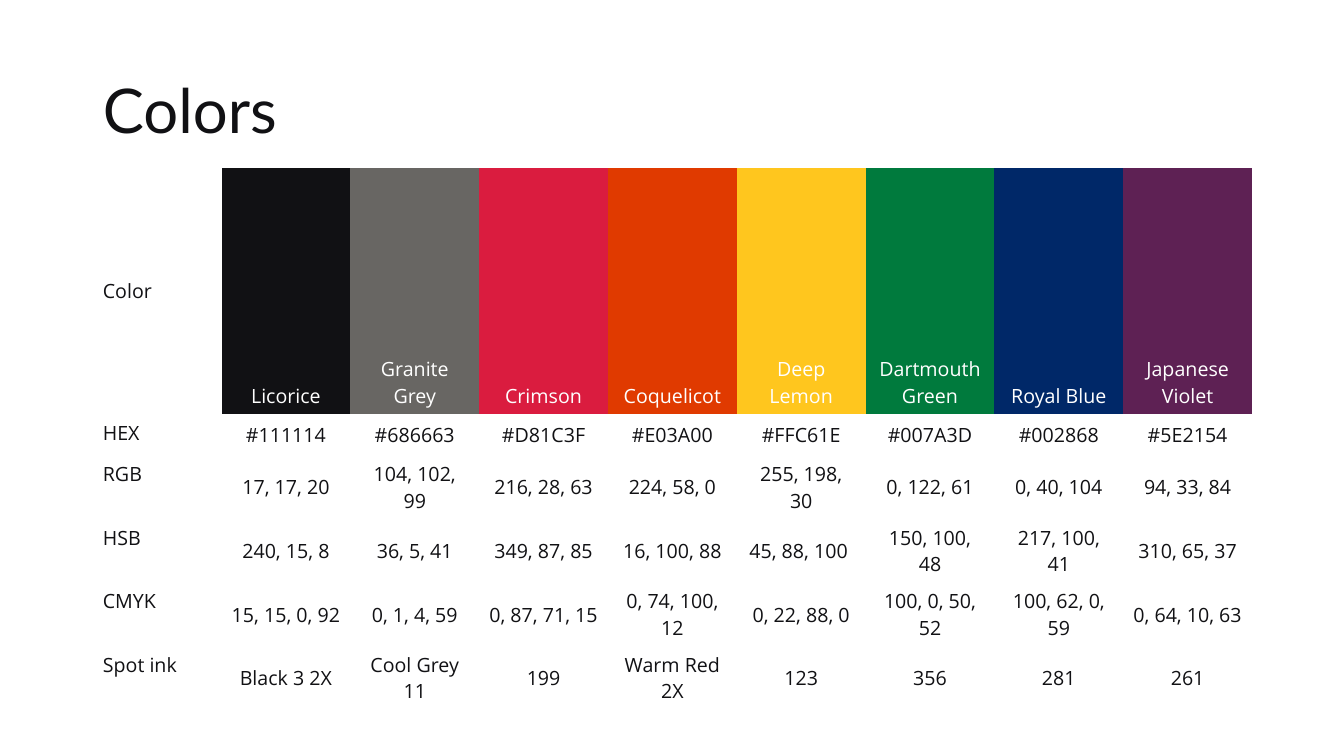
from pptx import Presentation
from pptx.dml.color import RGBColor
from pptx.enum.text import MSO_ANCHOR as Anchor, MSO_AUTO_SIZE as AutoSize, PP_ALIGN as Align
from pptx.oxml.ns import qn
from pptx.util import Pt

PX = 9144
PLAIN_TABLE_STYLE = "{2D5ABB26-0587-4C30-8999-92F81FD0307C}"
COLORS = {
    "ink": "111114",
    "white": "FFFFFF",
    "Licorice": "111114",
    "Granite Grey": "686663",
    "Crimson": "DA1C3F",
    "Coquelicot": "E03A00",
    "Deep Lemon": "FFC61E",
    "Dartmouth Green": "007A3D",
    "Royal Blue": "002868",
    "Japanese Violet": "5E2154",
}
SWATCHES = [name for name in COLORS if name not in ("ink", "white")]
CODES = {
    "HEX": ["#111114", "#686663", "#D81C3F", "#E03A00",
            "#FFC61E", "#007A3D", "#002868", "#5E2154"],
    "RGB": ["17, 17, 20", "104, 102, 99", "216, 28, 63", "224, 58, 0",
            "255, 198, 30", "0, 122, 61", "0, 40, 104", "94, 33, 84"],
    "HSB": ["240, 15, 8", "36, 5, 41", "349, 87, 85", "16, 100, 88",
            "45, 88, 100 ", "150, 100, 48", "217, 100, 41", "310, 65, 37"],
    "CMYK": ["15, 15, 0, 92", "0, 1, 4, 59", "0, 87, 71, 15", "0, 74, 100, 12",
             "0, 22, 88, 0", "100, 0, 50, 52", "100, 62, 0, 59", "0, 64, 10, 63"],
    "Spot ink": ["Black 3 2X", "Cool Grey 11", "199", "Warm Red 2X",
                 "123", "356", "281", "261"],
}


class PaletteSlide:
    """Style and current page of the colour palette slide."""

    title_font, title_size = "Lato", 44
    body_font, body_size = "Open Sans", 14

    def __init__(self, deck):
        self.page = deck.slides.add_slide(deck.slide_layouts[5])

    def span(self, para, text, font, size, color):
        span = para.add_run()
        span.text = text
        span.font.name = font
        span.font.size = Pt(size)
        span.font.color.rgb = RGBColor.from_string(COLORS[color])

    def title(self, text, left, top, width, height):
        box = self.page.shapes.title
        box.left, box.top, box.width, box.height = (
            length * PX for length in (left, top, width, height))
        frame = box.text_frame
        frame.auto_size = AutoSize.NONE
        frame.vertical_anchor = Anchor.MIDDLE
        para = frame.paragraphs[0]
        para.alignment = Align.LEFT
        para.line_spacing = 0.9
        self.span(para, text, self.title_font, self.title_size, "ink")

    def cell(self, cell, text, anchor, align=Align.CENTER, color="ink", fill=None):
        cell.vertical_anchor = anchor
        if fill:
            cell.fill.solid()
            cell.fill.fore_color.rgb = RGBColor.from_string(COLORS[fill])
        else:
            cell.fill.background()
        para = cell.text_frame.paragraphs[0]
        para.alignment = align
        self.span(para, text, self.body_font, self.body_size, color)

    def palette(self, left, top, width, swatch_height, code_height):
        rows, columns = len(CODES) + 1, len(SWATCHES) + 1
        height = swatch_height + code_height * len(CODES)
        table = self.page.shapes.add_table(
            rows, columns, left * PX, top * PX, width * PX, height * PX).table
        table.first_row = table.horz_banding = False
        table._tbl.tblPr.find(qn("a:tableStyleId")).text = PLAIN_TABLE_STYLE
        for column in table.columns:
            column.width = width * PX // columns
        for index, row in enumerate(table.rows):
            row.height = (code_height if index else swatch_height) * PX
        self.cell(table.cell(0, 0), "Color", Anchor.MIDDLE, Align.LEFT)
        for column, name in enumerate(SWATCHES, 1):
            self.cell(table.cell(0, column), name, Anchor.BOTTOM, color="white", fill=name)
        for row, (label, values) in enumerate(CODES.items(), 1):
            self.cell(table.cell(row, 0), label, Anchor.TOP, Align.LEFT)
            for column, value in enumerate(values, 1):
                self.cell(table.cell(row, column), value, Anchor.MIDDLE)


def main():
    deck = Presentation()
    deck.slide_width, deck.slide_height = 1333 * PX, 750 * PX
    slide = PaletteSlide(deck)
    slide.title("Colors", 92, 40, 1150, 145)
    slide.palette(92, 167, 1150, 244, 41)
    deck.save("out.pptx")


if __name__ == "__main__":
    main()
